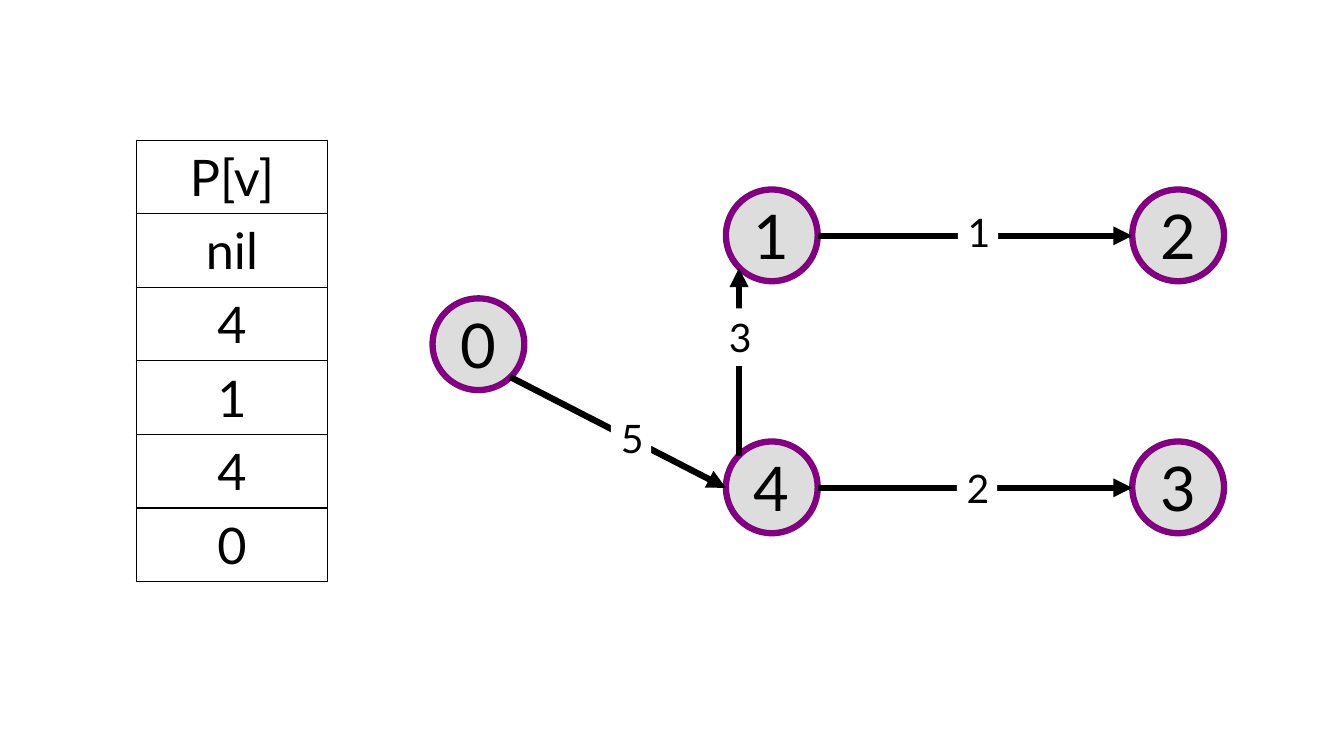
"""Build a slide with a parent table beside its weighted tree."""
from lxml import etree
from pptx import Presentation
from pptx.dml.color import RGBColor
from pptx.enum import shapes, text
from pptx.oxml import parse_xml
from pptx.oxml.ns import nsdecls, qn
from pptx.util import Inches, Pt


def rgb(color):
    return RGBColor.from_string(color)


def write(tf, words, size, font="Lato", color="000000"):
    p = tf.paragraphs[0]
    p.alignment = text.PP_ALIGN.CENTER
    r = p.add_run()
    r.text = words
    r.font.size = Pt(size)
    r.font.name = font
    r.font.color.rgb = rgb(color)


prs = Presentation()
prs.slide_width, prs.slide_height = Inches(13.33), Inches(7.5)
s = prs.slides.add_slide(prs.slide_layouts[6])

parents = ["P[v]", "nil", "4", "1", "4", "0"]
row_height = 0.73
table = s.shapes.add_table(len(parents), 1, Inches(1.35), Inches(1.39),
                           Inches(1.9), Inches(row_height * len(parents))).table
table.first_row = table.horz_banding = False
for row, parent in zip(table.rows, parents):
    row.height = Inches(row_height)
    cell = row.cells[0]
    cell.vertical_anchor = text.MSO_ANCHOR.MIDDLE
    write(cell.text_frame, parent, 36)
    for side in ("lnL", "lnR", "lnT", "lnB"):
        cell._tc.get_or_add_tcPr().append(parse_xml(
            f'<a:{side} {nsdecls("a")} w="12700"><a:solidFill>'
            f'<a:srgbClr val="000000"/></a:solidFill></a:{side}>'))
    cell.fill.background()

diameter = 0.91
nodes = {"0": (4.29, 2.96), "1": (7.2, 1.88), "2": (11.23, 1.88),
         "4": (7.2, 4.38), "3": (11.23, 4.38)}
for name, (x, y) in nodes.items():
    sp = s.shapes.add_shape(shapes.MSO_SHAPE.OVAL, Inches(x), Inches(y),
                            Inches(diameter), Inches(diameter))
    sp.shadow.inherit = False
    sp.fill.solid()
    sp.fill.fore_color.rgb = rgb("DDDDDD")
    sp.line.color.rgb = rgb("800080")
    sp.line.width = Pt(4.5)
    tf = sp.text_frame
    tf.margin_left = tf.margin_right = tf.margin_top = tf.margin_bottom = 0
    tf.vertical_anchor = text.MSO_ANCHOR.MIDDLE
    write(tf, name, 44)

edges = [((5.06, 3.74), (7.2, 4.84)), ((8.11, 2.34), (11.23, 2.34)),
         ((7.33, 4.52), (7.33, 2.66)), ((8.11, 4.84), (11.23, 4.84))]
for start, end in edges:
    edge = s.shapes.add_connector(shapes.MSO_CONNECTOR.STRAIGHT,
                                  *map(Inches, start + end))
    edge.line.color.rgb = rgb("000000")
    edge.line.width = Pt(4.5)
    etree.SubElement(edge.line._get_or_add_ln(), qn("a:tailEnd"), type="triangle")
    etree.SubElement(edge._element.spPr, qn("a:effectLst"))

weights = [("1", 9.5, 2.02), ("5", 6.06, 4.06), ("3", 7.13, 3.06), ("2", 9.49, 4.56)]
for weight, x, y in weights:
    label = s.shapes.add_textbox(Inches(x), Inches(y), Inches(0.4), Inches(0.57))
    label.fill.solid()
    label.fill.fore_color.rgb = rgb("FFFFFF")
    label.text_frame.word_wrap = False
    write(label.text_frame, weight, 28)

prs.save("out.pptx")
